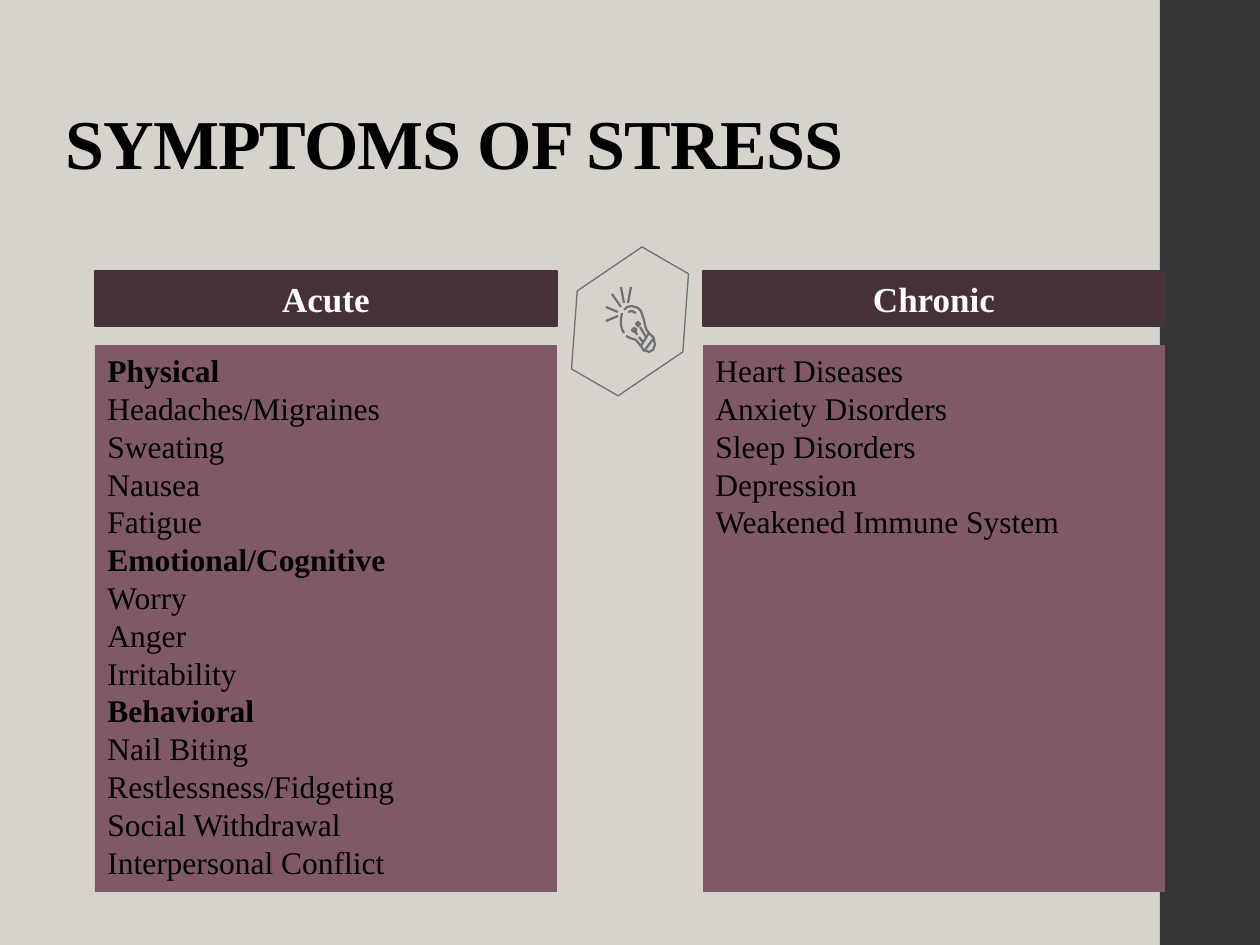
"""Build the Symptoms of Stress slide comparing acute and chronic symptoms."""
from pptx import Presentation
from pptx.dml.color import RGBColor
from pptx.enum.shapes import MSO_SHAPE
from pptx.enum.text import MSO_ANCHOR, PP_ALIGN
from pptx.util import Emu, Pt

PIXEL = 914400 / 126
FONT = "Times New Roman"
COLORS = {
    "background": "D6D3CC", "sidebar": "353537", "icon": "6F6F74",
    "header": "46313A", "panel": "7F5968", "black": "000000", "white": "FFFFFF",
}
COLUMN_WIDTH = 462
HEADINGS = {"Physical", "Emotional/Cognitive", "Behavioral"}
COLUMNS = [
    (703, "Chronic", ["Heart Diseases", "Anxiety Disorders", "Sleep Disorders",
                      "Depression", "Weakened Immune System"]),
    (95, "Acute", ["Physical", "Headaches/Migraines", "Sweating", "Nausea", "Fatigue",
                   "Emotional/Cognitive", "Worry", "Anger", "Irritability",
                   "Behavioral", "Nail Biting", "Restlessness/Fidgeting",
                   "Social Withdrawal", "Interpersonal Conflict"]),
]
BULB_STROKES = [
    ([(612, 294), (621, 307)], False),
    ([(606, 307), (618, 312)], False),
    ([(606, 321), (618, 316)], False),
    ([(621, 287), (624, 303)], False),
    ([(631, 287), (628, 303)], False),
    ([(622, 313), (621, 319), (621, 325), (622, 329), (624, 333)], False),
    ([(628, 312), (632, 311), (636, 313)], False),
    ([(624, 310), (627, 307), (632, 306), (638, 308), (641, 311),
      (644, 320), (646, 329), (649, 333)], False),
    ([(626, 336), (630, 338), (636, 340), (641, 346)], False),
    ([(649, 333), (654, 338), (644, 351), (641, 346)], True),
    ([(654, 339), (655, 345), (653, 350), (649, 352), (645, 350)], False),
    ([(638, 322), (640, 324), (638, 326), (636, 324)], True),
    ([(634, 328), (636, 330), (634, 332), (632, 330)], True),
    ([(640, 327), (646, 337)], False),
    ([(636, 328), (636, 332), (637, 335)], False),
    ([(639, 337), (643, 342)], False),
]


def add_block(shapes, kind, box, fill=None, line=None, weight=0.75):
    shape = shapes.add_shape(kind, *[Emu(round(length * PIXEL)) for length in box])
    paint(shape, fill, line, weight)
    return shape


def paint(shape, fill, line, weight):
    shape.shadow.inherit = False
    if fill:
        shape.fill.solid()
        shape.fill.fore_color.rgb = RGBColor.from_string(COLORS[fill])
    else:
        shape.fill.background()
    if line:
        shape.line.color.rgb = RGBColor.from_string(COLORS[line])
        shape.line.width = Pt(weight)
    else:
        shape.line.fill.background()


presentation = Presentation()
presentation.slide_width = Emu(round(1260 * PIXEL))
presentation.slide_height = Emu(round(945 * PIXEL))
slide = presentation.slides.add_slide(presentation.slide_layouts[6])
slide.background.fill.solid()
slide.background.fill.fore_color.rgb = RGBColor.from_string(COLORS["background"])
add_block(slide.shapes, MSO_SHAPE.RECTANGLE, (1160, 0, 100, 945), "sidebar")

title = slide.shapes.add_textbox(*[Emu(round(n * PIXEL)) for n in (53, 52, 1104, 190)])
title.text_frame.word_wrap = True
title.text_frame.vertical_anchor = MSO_ANCHOR.MIDDLE
paragraph = title.text_frame.paragraphs[0]
paragraph.line_spacing = 0.9
run = paragraph.add_run()
run.text = "SYMPTOMS OF STRESS"
run.font.size = Pt(40)
run.font.name = FONT
run.font.bold = True
run.font.color.rgb = RGBColor.from_string(COLORS["black"])
run._r.get_or_add_rPr().set("spc", "-50")

hexagon = add_block(slide.shapes, MSO_SHAPE.HEXAGON, (569, 251, 122, 141), line="icon")
hexagon.adjustments[0] = 0.28
hexagon.rotation = 30

bulb = slide.shapes.add_group_shape()
for points, closed in BULB_STROKES:
    builder = bulb.shapes.build_freeform(*points[0], scale=PIXEL)
    builder.add_line_segments(points[1:], close=closed)
    paint(builder.convert_to_shape(), None, "icon", 1.25)

for left, heading, symptoms in COLUMNS:
    header = add_block(slide.shapes, MSO_SHAPE.RECTANGLE,
                       (left, 271, COLUMN_WIDTH, 55), "header", "header")
    panel = add_block(slide.shapes, MSO_SHAPE.RECTANGLE,
                      (left, 345, COLUMN_WIDTH, 547), "panel")
    for shape, lines, size, color, align in (
        (header, [heading], 20, "white", PP_ALIGN.CENTER),
        (panel, symptoms, 18, "black", PP_ALIGN.LEFT),
    ):
        frame = shape.text_frame
        frame.word_wrap = True
        frame.vertical_anchor = MSO_ANCHOR.TOP
        frame.text = "\n".join(lines)
        for paragraph in frame.paragraphs:
            paragraph.alignment = align
            paragraph.font.name = FONT
            paragraph.font.size = Pt(size)
            paragraph.font.bold = shape is header or paragraph.text in HEADINGS
            paragraph.font.color.rgb = RGBColor.from_string(COLORS[color])

presentation.save("out.pptx")
